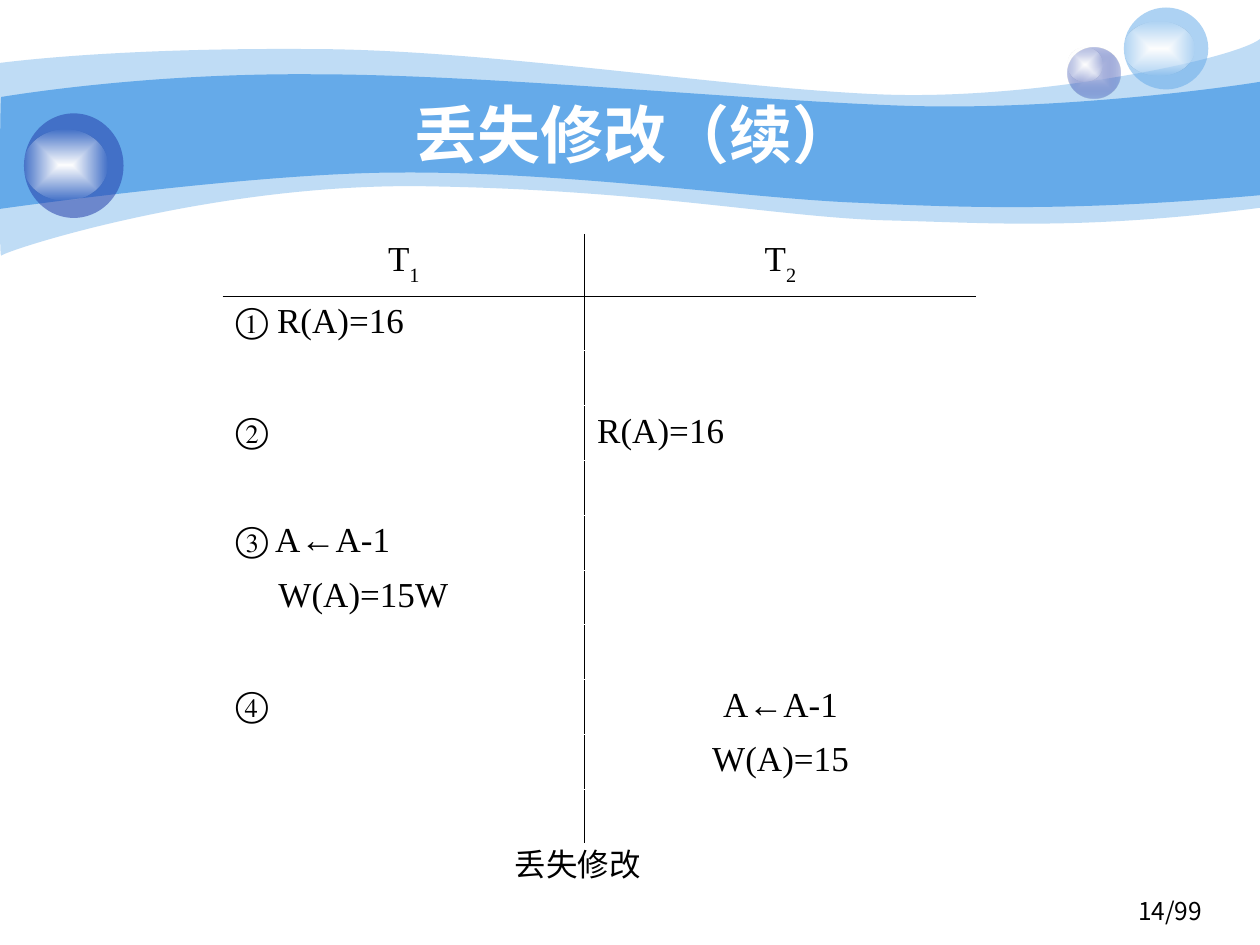
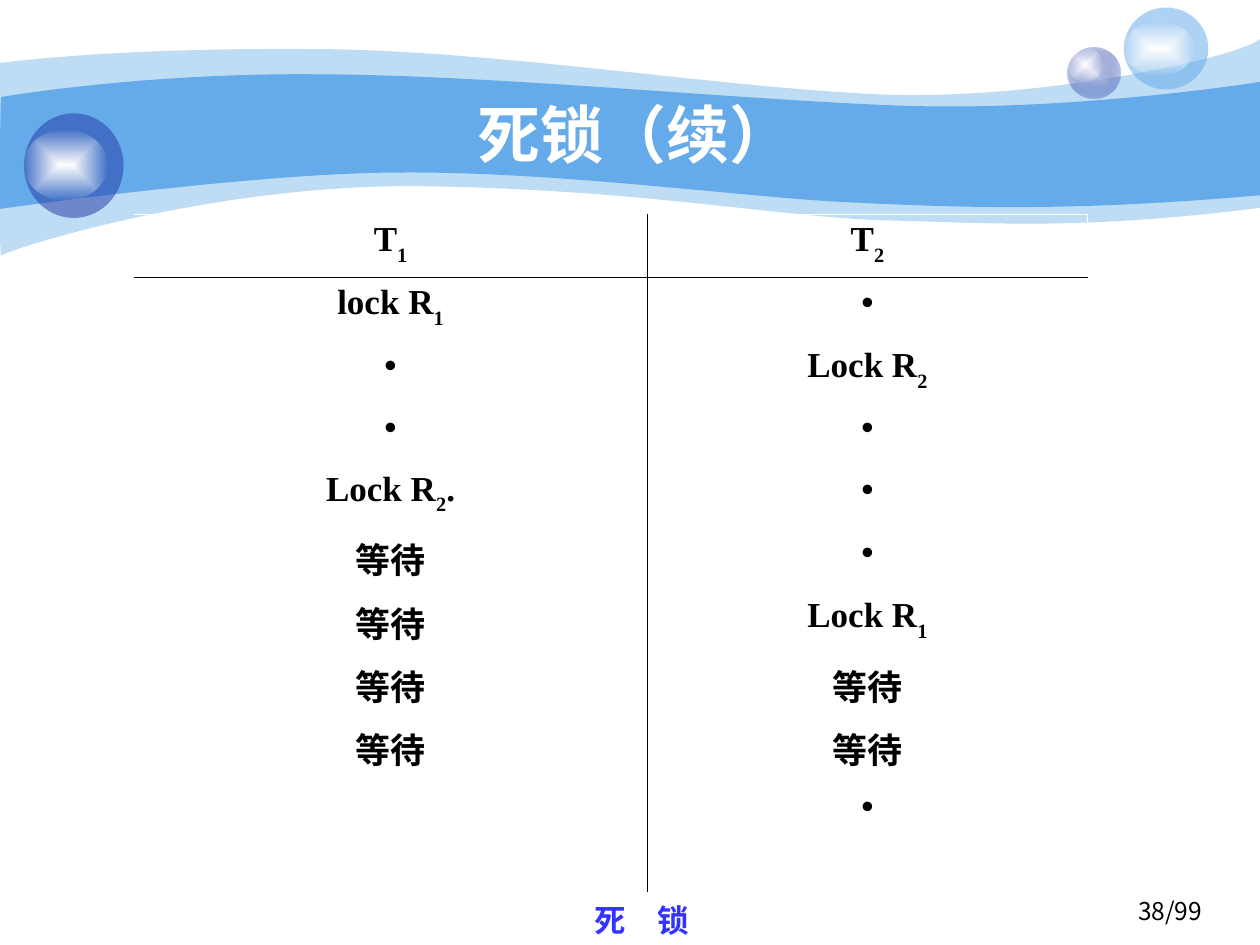
from collections import namedtuple
from pptx import Presentation
from pptx.dml.color import RGBColor
from pptx.enum.shapes import MSO_SHAPE as SHAPE
from pptx.enum.text import MSO_ANCHOR as ANCHOR, MSO_AUTO_SIZE as AUTO, PP_ALIGN as ALIGN
from pptx.oxml import parse_xml
from pptx.oxml.ns import nsdecls, qn
from pptx.oxml.xmlchemy import OxmlElement
from pptx.util import Inches, Pt

# ---- Content ----
Left = namedtuple("Left", "text indent", defaults=(0,))  # left-aligned cell

# "_" makes the next character a subscript
SLIDES = [
    dict(
        title="丢失修改（续）", page="14/99",
        at=(1.77, 1.86), cols=[2.87, 3.11], heights=[0.49] + [(4.84 - 0.49) / 10] * 10,
        bold=False, outer_left="FFFFFF", outer_right=None, inner="FFFFFF",
        rows=[
            ("T_1", "T_2"),
            (Left("① R(A)=16"), ""),
            ("", ""),
            (Left("②"), Left("R(A)=16")),
            ("", ""),
            (Left("③ A←A-1"), ""),
            (Left("W(A)=15W", 0.34), ""),
            ("", ""),
            (Left("④"), "A←A-1"),
            ("", "W(A)=15"),
            ("", ""),
        ],
        caption="丢失修改", caption_box=(3.61, 6.66, 1.95, 0.4), caption_color="000000",
    ),
    dict(
        title="死锁（续）", page="38/99",
        at=(1.06, 1.7), cols=[4.08, 3.49],
        heights=[0.5, 0.5, 0.49, 0.49, 0.5, 0.48, 0.5, 0.49, 0.49, 0.89],
        bold=True, outer_left=None, outer_right="FFFFFF", inner=None,
        rows=[
            ("T_1", "T_2"),
            ("lock R_1", "•"),
            ("•", "Lock R_2"),
            ("•", "•"),
            ("Lock R_2.", "•"),
            ("等待", "•"),
            ("等待", "Lock R_1"),
            ("等待", "等待"),
            ("等待", "等待"),
            ("", "•"),
        ],
        caption="死　锁", caption_box=(4.25, 7.1, 1.68, 0.4), caption_color="3333FF",
    ),
]

# ---- Shared look ----
BLACK, WHITE, SKY, NAVY = "000000", "FFFFFF", "65AAE9", "233DA9"
SERIF, SANS, CJK = "Times New Roman", "Arial", "Noto Sans CJK SC"
NO_STYLE = "{2D5ABB26-0587-4C30-8999-92F81FD0307C}"
TITLE_BOX = (1, 0.75, 8.08, 0.62)
PAGE_BOX = (7.31, 7.06, 2.33, 0.39)

# Waves: opacity, start, then segments of one point (line) or three (curve)
WAVES = [
    (41, (0, 0.5), [
        [(0.24, 0.47), (1.07, 0.38), (2.47, 0.39)],
        [(3.86, 0.39), (5.75, 0.7), (6.99, 0.75)],
        [(8.22, 0.8), (9.8, 0.47), (10, 0.31)],
        [(10, 1.65)],
        [(8.58, 1.83), (7.87, 1.77), (7.05, 1.75)],
        [(6.22, 1.73), (5.15, 1.51), (3.43, 1.48)],
        [(1.72, 1.44), (0.04, 1.99), (0.01, 2.03)],
        [(-0.01, 2.08), (0, 0.75), (0, 0.5)]]),
    (100, (0.01, 0.77), [
        [(0.02, 0.77), (1.1, 0.58), (2.48, 0.59)],
        [(3.86, 0.59), (5.95, 0.8), (7.18, 0.84)],
        [(8.41, 0.88), (9.76, 0.69), (10, 0.65)],
        [(10, 1.55)],
        [(8.53, 1.68), (7.65, 1.65), (6.82, 1.61)],
        [(5.99, 1.58), (4.47, 1.36), (3.17, 1.37)],
        [(2.03, 1.37), (-0.02, 1.66), (-0.01, 1.66)],
        [(0, 1.66), (0, 0.77), (0.01, 0.77)]]),
]

# Spheres: body box, its fill (color, opacity) or gradient (from, to, end opacity), glare box
SPHERES = [
    ((8.47, 0.38, 0.42, 0.4), ("C7CEE9", NAVY, 31), (8.47, 0.38, 0.28, 0.27)),
    ((8.92, 0.06, 0.67, 0.65), (SKY, 53), (8.92, 0.17, 0.56, 0.43)),
    ((0.19, 0.9, 0.79, 0.83), (NAVY, 53), (0.19, 1.03, 0.66, 0.56)),
]
GLARE = (WHITE, WHITE, 0)


# ---- Helpers ----
def rgb(value):
    return RGBColor.from_string(value)


def inches(box):
    return [Inches(v) for v in box]


def solid(sp, color, opacity):
    sp.fill.solid()
    sp.fill.fore_color.rgb = rgb(color)
    if opacity < 100:
        alpha = OxmlElement("a:alpha")
        alpha.set("val", str(opacity * 1000))
        sp._element.spPr.find(qn("a:solidFill"))[0].append(alpha)


def gradient(sp, start, end, opacity):
    sp.fill.background()
    spPr = sp._element.spPr
    spPr.replace(spPr.find(qn("a:noFill")), parse_xml(
        f'<a:gradFill {nsdecls("a")} rotWithShape="1"><a:gsLst>'
        f'<a:gs pos="0"><a:srgbClr val="{start}"/></a:gs>'
        f'<a:gs pos="100000"><a:srgbClr val="{end}"><a:alpha val="{opacity * 1000}"/></a:srgbClr></a:gs>'
        '</a:gsLst><a:path path="rect"><a:fillToRect l="50000" t="50000" r="50000" b="50000"/></a:path>'
        '</a:gradFill>'))


def paint(sp, fill):
    sp.shadow.inherit = False
    (gradient if len(fill) == 3 else solid)(sp, *fill)
    sp.line.fill.background()


def add_run(p, text, size, font, color, bold=False, subscript=False):
    r = p.add_run()
    r.text = text
    r.font.size, r.font.bold, r.font.name = Pt(size), bold, font
    r.font.color.rgb = rgb(color)
    rPr = r._r.get_or_add_rPr()
    ea = OxmlElement("a:ea")
    ea.set("typeface", CJK if any(ch >= "一" for ch in text) else font)
    rPr.append(ea)
    if subscript:
        rPr.set("baseline", "-30000")


def add_text(s, box, text, align, wrap, *style):
    tf = s.shapes.add_textbox(*inches(box)).text_frame
    tf.word_wrap = wrap
    p = tf.paragraphs[0]
    p.alignment = align
    add_run(p, text, *style)


# ---- Background ----
def add_wave(s, opacity, start, segments):
    builder = s.shapes.build_freeform(*inches(start))
    builder.add_line_segments([inches(q) for seg in segments for q in seg], close=True)
    sp = builder.convert_to_shape()
    lines = iter(list(sp._element.iter(qn("a:lnTo"))))
    for segment in segments:  # join each three points into one curve
        first, *others = [next(lines) for _ in segment]
        if others:
            bezier = OxmlElement("a:cubicBezTo")
            first.addprevious(bezier)
            for line in (first, *others):
                bezier.append(line[0])
                line.getparent().remove(line)
    paint(sp, (SKY, opacity))


def add_background(s):
    for wave in WAVES:
        add_wave(s, *wave)
    for body, fill, glare in SPHERES:
        for box, look in ((body, fill), (glare, GLARE)):
            paint(s.shapes.add_shape(SHAPE.OVAL, *inches(box)), look)


# ---- Title ----
def set_title(s, text):
    sp = s.shapes.title
    s.shapes._spTree.append(sp._element)  # bring in front of the waves
    sp.left, sp.top, sp.width, sp.height = inches(TITLE_BOX)
    tf = sp.text_frame
    tf.vertical_anchor, tf.auto_size = ANCHOR.MIDDLE, AUTO.NONE
    p = tf.paragraphs[0]
    p.alignment = ALIGN.CENTER
    add_run(p, text, 36, SANS, WHITE, True)


# ---- Schedule table ----
def set_borders(cell, **sides):
    tcPr = cell._tc.get_or_add_tcPr()
    for side, color in sides.items():
        fill = f'<a:solidFill><a:srgbClr val="{color}"/></a:solidFill>' if color else "<a:noFill/>"
        tcPr.append(parse_xml(
            f'<a:ln{side} {nsdecls("a")} w="{Pt(0.45)}">{fill}</a:ln{side}>'))


def fill_cell(cell, value, bold):
    p = cell.text_frame.paragraphs[0]
    p.alignment = ALIGN.CENTER
    if isinstance(value, Left):
        p.alignment = ALIGN.LEFT
        p._p.get_or_add_pPr().set("marL", str(Inches(value.indent)))
        value = value.text
    head, *tails = value.split("_")
    pieces = [(head, False)]
    for tail in tails:
        pieces += [(tail[0], True), (tail[1:], False)]
    for text, subscript in pieces:
        if text:
            add_run(p, text, 20, SERIF, BLACK, bold, subscript)


def add_schedule(s, d):
    cols, heights, rows = d["cols"], d["heights"], d["rows"]
    box = (*d["at"], sum(cols), sum(heights))
    table = s.shapes.add_table(len(rows), len(cols), *inches(box)).table
    table.first_row = table.horz_banding = False
    table._tbl.tblPr.find(qn("a:tableStyleId")).text = NO_STYLE
    for column, width in zip(table.columns, cols):
        column.width = Inches(width)
    last, inner = len(rows) - 1, d["inner"]
    for i, row in enumerate(rows):
        table.rows[i].height = Inches(heights[i])
        for j, value in enumerate(row):
            cell = table.cell(i, j)
            fill_cell(cell, value, d["bold"])
            set_borders(
                cell,
                L=BLACK if j else d["outer_left"],
                R=d["outer_right"] if j else BLACK,
                T={0: WHITE, 1: BLACK}.get(i, inner),
                B={0: BLACK, last: WHITE}.get(i, inner))
            cell.fill.background()


def main():
    prs = Presentation()
    prs.slide_width, prs.slide_height = Inches(10), Inches(7.5)
    for d in SLIDES:
        s = prs.slides.add_slide(prs.slide_layouts[5])
        add_background(s)
        add_text(s, PAGE_BOX, d["page"], ALIGN.RIGHT, True, 14, CJK, BLACK)
        set_title(s, d["title"])
        add_schedule(s, d)
        add_text(s, d["caption_box"], d["caption"], ALIGN.CENTER, False,
                 18, SERIF, d["caption_color"], d["bold"])
    prs.save("out.pptx")


if __name__ == "__main__":
    main()
